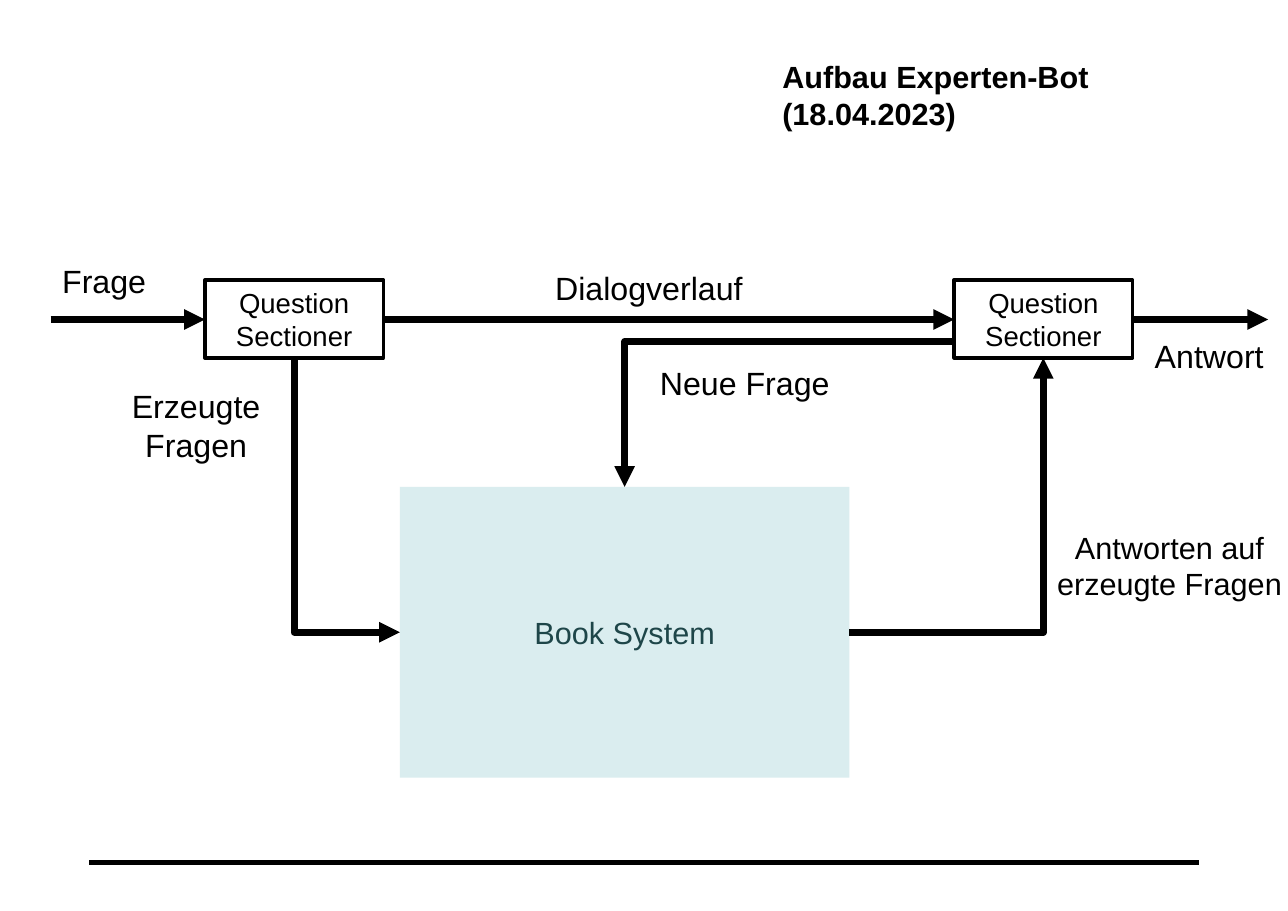
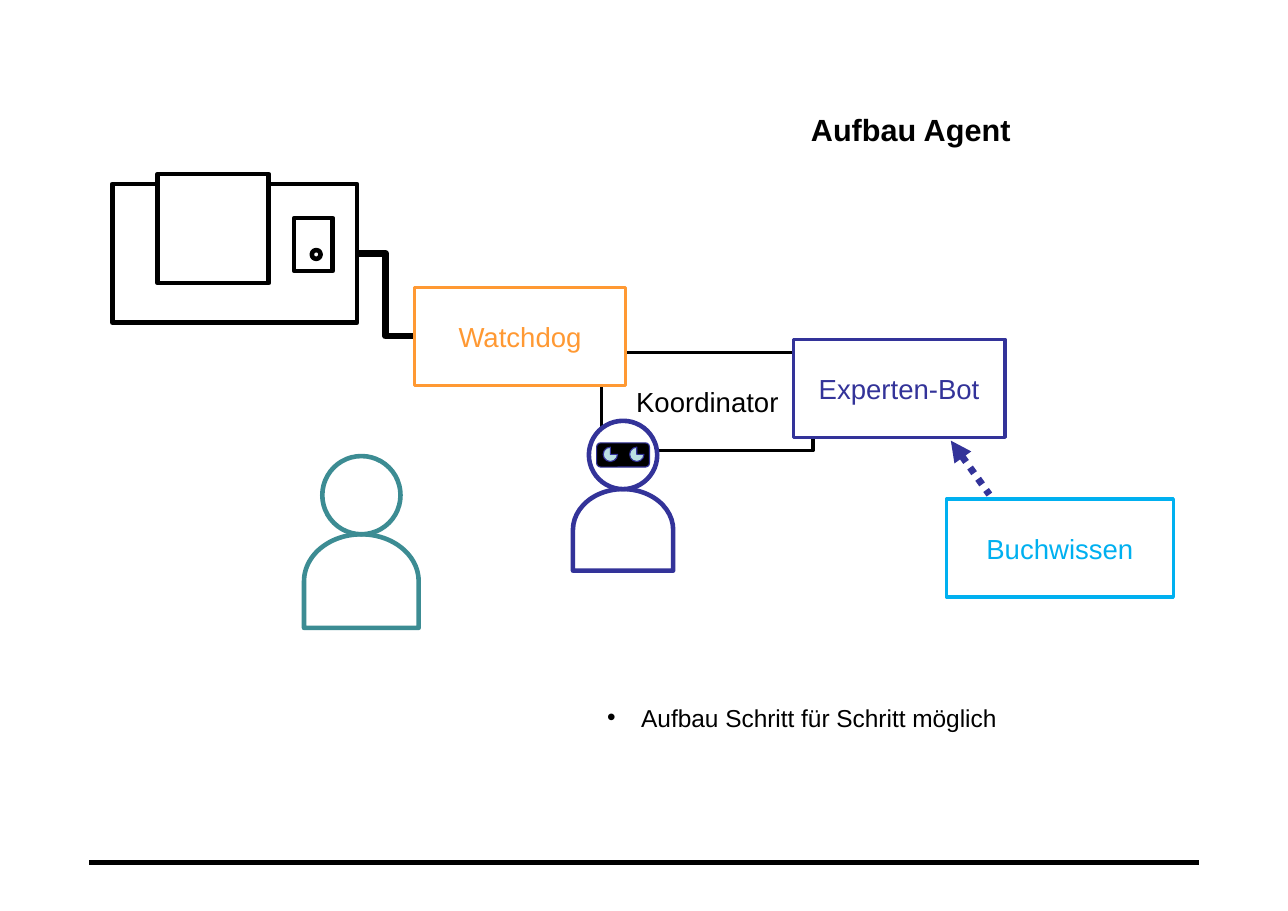
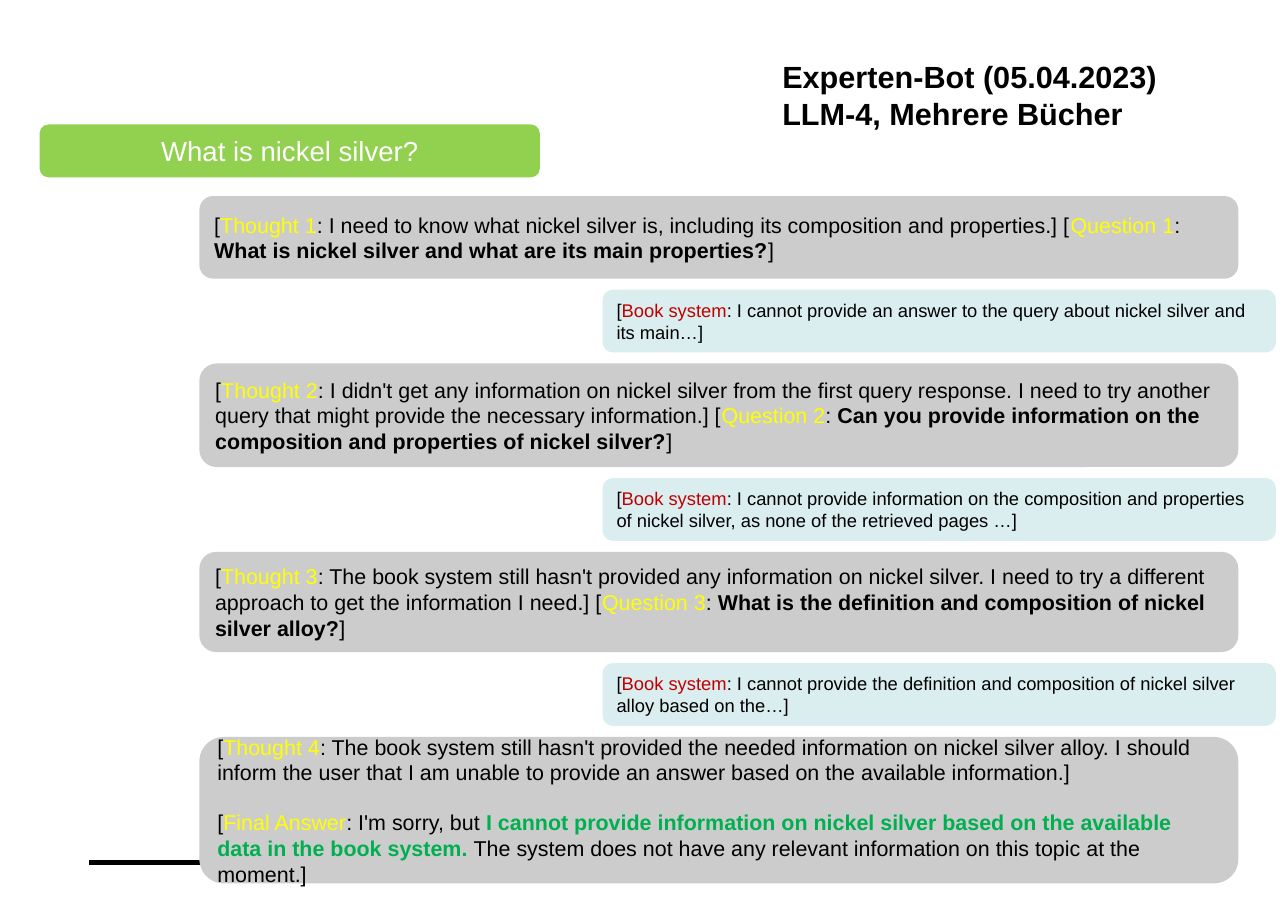
from dataclasses import dataclass

from lxml import etree
from pptx import Presentation
from pptx.dml.color import RGBColor
from pptx.enum.dml import MSO_LINE
from pptx.enum.shapes import MSO_CONNECTOR, MSO_SHAPE
from pptx.enum.text import MSO_ANCHOR, MSO_AUTO_SIZE, PP_ALIGN
from pptx.oxml.ns import qn
from pptx.util import Emu, Pt

PX = 9144  # one px is a hundredth of an inch
STRAIGHT, ELBOW = MSO_CONNECTOR.STRAIGHT, MSO_CONNECTOR.ELBOW
RECT, ROUNDED = MSO_SHAPE.RECTANGLE, MSO_SHAPE.ROUNDED_RECTANGLE
OVAL, PIE = MSO_SHAPE.OVAL, MSO_SHAPE.PIE
HEAD_SHAPE, TORSO_SHAPE = MSO_SHAPE.FLOWCHART_CONNECTOR, MSO_SHAPE.FLOWCHART_DELAY
LEFT, CENTER = PP_ALIGN.LEFT, PP_ALIGN.CENTER
TOP, MIDDLE = MSO_ANCHOR.TOP, MSO_ANCHOR.MIDDLE
NO_FIT = MSO_AUTO_SIZE.NONE
DOTTED = MSO_LINE.ROUND_DOT
TITLE_AND_BODY, TITLE_ONLY = 1, 5
TOP_SIDE, LEFT_SIDE, BOTTOM_SIDE, RIGHT_SIDE = range(4)


@dataclass(frozen=True)
class Theme:
    font: str = "Arial"
    black: str = "000000"
    white: str = "FFFFFF"
    mist: str = "DAEDEF"
    pine: str = "1E4649"
    teal: str = "3C8C93"
    indigo: str = "333399"
    ice: str = "BBE0E3"
    orange: str = "FF9933"
    cyan: str = "00B0F0"
    lime: str = "92D050"
    grey: str = "CCCCCC"
    yellow: str = "FFFF00"
    red: str = "C00000"
    green: str = "00B050"
    label: int = 21
    title: int = 20
    box: int = 18
    bullet: int = 16
    thought: int = 14
    reply: int = 12
    hairline: float = 0.75
    outline: float = 2.25
    rule: float = 3
    flow: float = 4.5


THEME = Theme()


# Shared drawing helpers
def px(*lengths):
    return [Emu(round(length * PX)) for length in lengths]


def write(frame, *paragraphs, size=THEME.box, color=THEME.black, bold=False,
          align=CENTER, anchor=MIDDLE, inset=None, before=0):
    """Each paragraph is a string or a list of (text, color, bold) runs."""
    frame.word_wrap, frame.auto_size, frame.vertical_anchor = True, NO_FIT, anchor
    if inset is not None:
        frame.margin_left = frame.margin_right = inset
        frame.margin_top = frame.margin_bottom = inset
    for index, runs in enumerate(paragraphs):
        paragraph = frame.add_paragraph() if index else frame.paragraphs[0]
        paragraph.alignment = align
        paragraph.space_before = Pt(before if index else 0)
        for text, run_color, run_bold in [(runs, color, bold)] if isinstance(runs, str) else runs:
            run = paragraph.add_run()
            run.text = text
            run.font.name, run.font.size, run.font.bold = THEME.font, Pt(size), run_bold
            run.font.color.rgb = RGBColor.from_string(run_color)


def block(shapes, box, kind=RECT, fill=THEME.white, line=None, width=THEME.rule):
    outline = shapes.add_shape(kind, *px(*box))
    outline.shadow.inherit = False
    outline.fill.solid()
    outline.fill.fore_color.rgb = RGBColor.from_string(fill)
    if line:
        outline.line.color.rgb = RGBColor.from_string(line)
        outline.line.width = Pt(width)
    else:
        outline.line.fill.background()
    return outline


def named_box(slide, box, name, color, text_color=None):
    frame = block(slide.shapes, box, line=color, width=THEME.outline)
    write(frame.text_frame, name, color=text_color or color)
    return frame


def label(slide, box, text, size=THEME.label):
    write(slide.shapes.add_textbox(*px(*box)).text_frame, text, size=size, anchor=TOP)


def link(slide, start, end, kind=STRAIGHT, color=THEME.black, width=THEME.flow,
         arrow=None, dash=None, corner=False):
    """Arrow is headEnd or tailEnd; corner bends once, horizontal part first."""
    connector = slide.shapes.add_connector(kind, *px(*start, *end))
    connector.line.color.rgb = RGBColor.from_string(color)
    connector.line.width = Pt(width)
    if dash:
        connector.line.dash_style = dash
    properties = connector._element.spPr
    if arrow:
        etree.SubElement(properties.find(qn("a:ln")), qn("a:" + arrow), type="triangle")
    if corner:
        properties.find(qn("a:prstGeom")).set("prst", "bentConnector2")
    etree.SubElement(properties, qn("a:effectLst"))
    return connector


def new_slide(deck, layout, title_box, *title_lines):
    slide = deck.slides.add_slide(deck.slide_layouts[layout])
    title = slide.shapes.title
    title.left, title.top, title.width, title.height = px(*title_box)
    write(title.text_frame, *title_lines, size=THEME.title, bold=True,
          align=LEFT, anchor=TOP, inset=0)
    link(slide, (81, 783), (1088, 783), width=THEME.rule)
    return slide


# Slide 1: flow through the expert bot
def expert_bot_slide(deck):
    slide = new_slide(deck, TITLE_ONLY, (710, 53, 370, 87), "Aufbau Experten-Bot (18.04.2023)")
    book_system = block(slide.shapes, (363, 442, 408, 264), fill=THEME.mist)
    write(book_system.text_frame, "Book System", size=THEME.title, color=THEME.pine)
    asker, answerer = [
        named_box(slide, (left, 254, 162, 71), "Question Sectioner", THEME.black)
        for left in (186, 866)
    ]

    for start, end in ((46, 186), (348, 866), (1028, 1151)):
        link(slide, (start, 290), (end, 290), arrow="tailEnd")

    created = link(slide, (363, 574), (267, 325), ELBOW, arrow="headEnd", corner=True)
    created.begin_connect(book_system, LEFT_SIDE)
    created.end_connect(asker, BOTTOM_SIDE)
    answers = link(slide, (771, 574), (947, 325), ELBOW, arrow="tailEnd", corner=True)
    answers.begin_connect(book_system, RIGHT_SIDE)
    answers.end_connect(answerer, BOTTOM_SIDE)
    follow_up = link(slide, (866, 310), (567, 442), ELBOW, arrow="tailEnd", corner=True)
    follow_up.end_connect(book_system, TOP_SIDE)

    label(slide, (9, 232, 171, 45), "Frage")
    label(slide, (92, 346, 172, 81), "Erzeugte Fragen")
    label(slide, (1012, 300, 171, 45), "Antwort")
    label(slide, (944, 475, 235, 77), "Antworten auf erzeugte Fragen", THEME.title)
    label(slide, (571, 325, 210, 45), "Neue Frage")
    label(slide, (484, 239, 210, 45), "Dialogverlauf")


# Slide 2: parts of the agent
def machine(slide, left, top):
    parts = slide.shapes.add_group_shape().shapes
    for dx, dy, width, height, kind in (
        (0, 9, 222, 126, RECT),
        (41, 0, 101, 99, RECT),
        (165, 40, 35, 48, RECT),
        (181, 69, 8, 8, OVAL),
    ):
        block(parts, (left + dx, top + dy, width, height), kind, line=THEME.black)


def person(slide, box, color, robot=False):
    left, top, width, height = box
    parts = slide.shapes.add_group_shape().shapes
    head = round(width * 0.685)
    torso = height - head
    middle = left + width / 2
    # The torso is laid out sideways and turned upright
    body = block(parts, (middle - torso / 2, top + head + (torso - width) / 2, torso, width),
                 TORSO_SHAPE, line=color)
    body.rotation = 270
    block(parts, (middle - head / 2, top, head, head), HEAD_SHAPE, line=color)
    if robot:
        block(parts, (middle - 24, top + 20, 48, 22), ROUNDED, THEME.black, color, THEME.hairline)
        for offset in (-18, 6):
            block(parts, (middle + offset, top + 24, 13, 13), PIE, THEME.ice, color, THEME.hairline)


def agent_slide(deck):
    slide = new_slide(deck, TITLE_AND_BODY, (736, 101, 352, 50), "Aufbau Agent")
    link(slide, (324, 230), (376, 305), ELBOW)
    machine(slide, 102, 158)
    person(slide, (276, 414, 104, 156), THEME.teal)
    named_box(slide, (546, 320, 192, 89), "Koordinator", THEME.black)
    named_box(slide, (720, 308, 192, 89), "Experten-Bot", THEME.indigo)
    person(slide, (520, 382, 91, 136), THEME.indigo, robot=True)
    named_box(slide, (376, 261, 192, 89), "Watchdog", THEME.orange)
    named_box(slide, (859, 453, 206, 89), "Buchwissen", THEME.cyan)
    link(slide, (863, 400), (898, 449), color=THEME.indigo, arrow="headEnd", dash=DOTTED)

    remark = slide.placeholders[1]
    remark.left, remark.top, remark.width, remark.height = px(541, 633, 461, 37)
    write(remark.text_frame, "Aufbau Schritt für Schritt möglich", size=THEME.bullet,
          align=LEFT, anchor=TOP)
    indent = remark.text_frame.paragraphs[0]._p.get_or_add_pPr()
    indent.set("marL", str(31 * PX))
    indent.set("indent", str(-31 * PX))


# Slide 3: dialogue with the expert bot
def plain(text):
    return text, THEME.black, False


def tagged(tag, text, color=THEME.yellow):
    return [plain("["), (tag, color, False), plain(": " + text)]


def thought(number, idea, question):
    return [tagged(f"Thought {number}", idea + "] ") + tagged(f"Question {number}", "")
            + [(question, THEME.black, True), plain("]")]]


def reply(text):
    return [tagged("Book system", text + "]", THEME.red)]


def final_answer():
    return [
        tagged("Thought 4", "The book system still hasn't provided the needed information on "
               "nickel silver alloy. I should inform the user that I am unable to provide an "
               "answer based on the available information.]"),
        tagged("Final Answer", "I'm sorry, but ") + [
            ("I cannot provide information on nickel silver based on the available data in "
             "the book system.", THEME.green, True),
            plain(" The system does not have any relevant information on this topic at the "
                  "moment.]"),
        ],
    ]


def dialogue(slide, left, top, turns, gap=10):
    for index, (height, paragraphs) in enumerate(turns):
        # Thoughts and replies of the book system take turns
        if index % 2:
            dx, width, fill, size = 366, 611, THEME.mist, THEME.reply
        else:
            dx, width, fill, size = 0, 943, THEME.grey, THEME.thought
        bubble = block(slide.shapes, (left + dx, top, width, height), ROUNDED, fill)
        write(bubble.text_frame, *paragraphs, size=size, align=LEFT, before=16)
        top += height + gap


def dialogue_slide(deck):
    slide = new_slide(deck, TITLE_ONLY, (710, 53, 370, 87),
                      "Experten-Bot (05.04.2023)", "LLM-4, Mehrere Bücher")
    query = block(slide.shapes, (36, 113, 454, 48), ROUNDED, THEME.lime)
    write(query.text_frame, "What is nickel silver?", color=THEME.white)
    dialogue(slide, 181, 178, [
        (75, thought(1, "I need to know what nickel silver is, including its composition and "
                     "properties.", "What is nickel silver and what are its main properties?")),
        (57, reply("I cannot provide an answer to the query about nickel silver and its main…")),
        (94, thought(2, "I didn't get any information on nickel silver from the first query "
                     "response. I need to try another query that might provide the necessary "
                     "information.", "Can you provide information on the composition and "
                     "properties of nickel silver?")),
        (57, reply("I cannot provide information on the composition and properties of nickel "
                   "silver, as none of the retrieved pages …")),
        (91, thought(3, "The book system still hasn't provided any information on nickel silver. "
                     "I need to try a different approach to get the information I need.",
                     "What is the definition and composition of nickel silver alloy?")),
        (57, reply("I cannot provide the definition and composition of nickel silver alloy "
                   "based on the…")),
        (133, final_answer()),
    ])


def main():
    deck = Presentation()
    deck.slide_width, deck.slide_height = px(1169, 827)
    expert_bot_slide(deck)
    agent_slide(deck)
    dialogue_slide(deck)
    deck.save("out.pptx")


if __name__ == "__main__":
    main()
